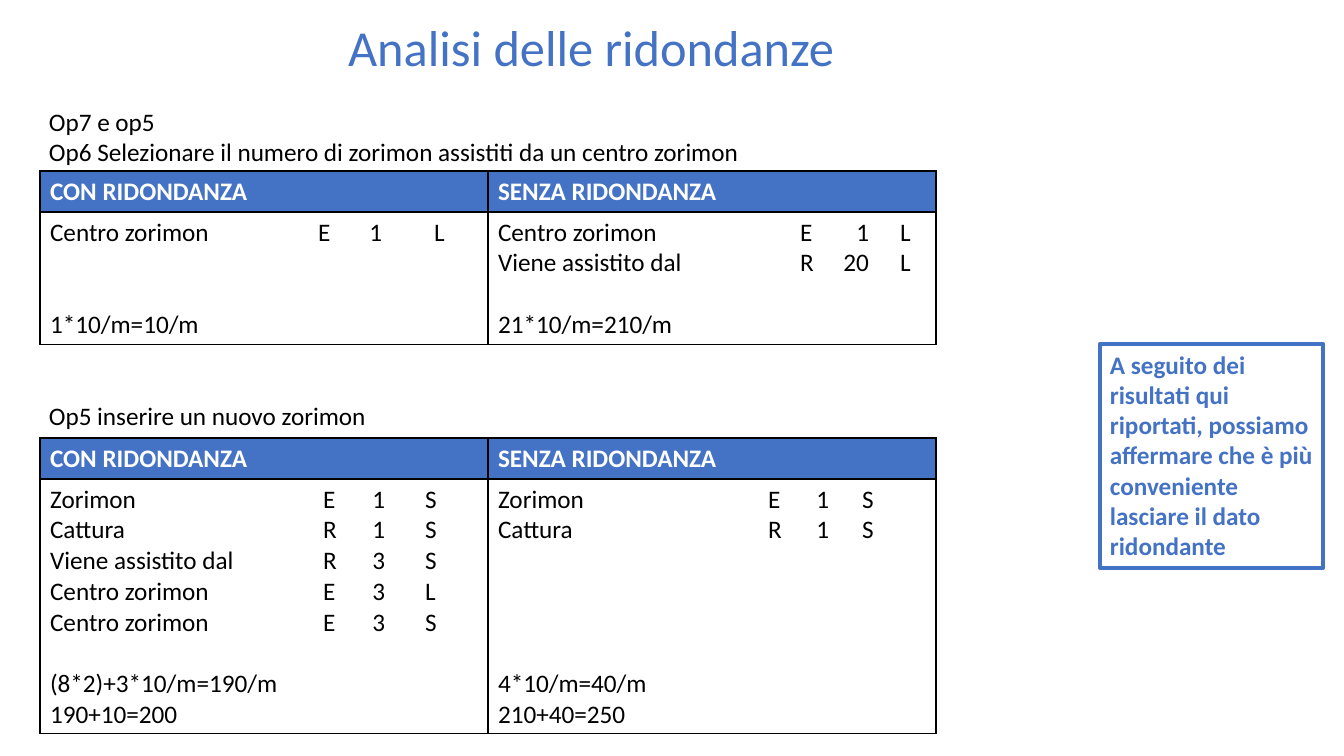
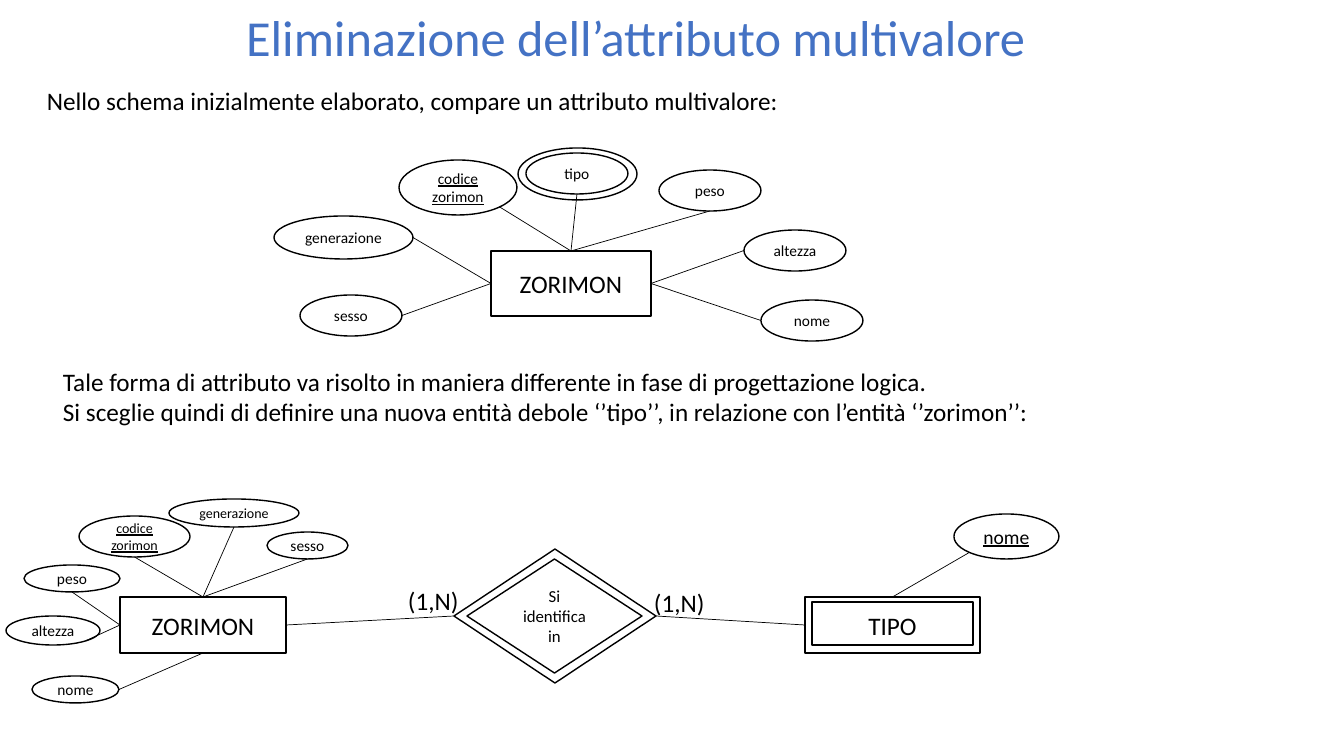
from lxml import etree
from pptx import Presentation
from pptx.dml.color import RGBColor
from pptx.enum import shapes, text
from pptx.oxml import ns
from pptx.util import Pt

PX = 914400 / 100.8
FONT = "Calibri"
COLORS = {"accent": "4472C4", "ink": "000000", "paper": "FFFFFF"}
LINE_PT = 22
RECT = shapes.MSO_SHAPE.RECTANGLE
OVAL = shapes.MSO_SHAPE.OVAL
DIAMOND = shapes.MSO_SHAPE.DIAMOND
SITES = {
    "top": (0.5, 0), "bottom": (0.5, 1), "left": (0, 0.5), "right": (1, 0.5),
    "low left": (0.15, 0.85), "low right": (0.85, 0.85),
}


def px(*values):
    """Turn pixels into EMU."""
    return [round(v * PX) for v in values]


def rgb(name):
    """Look up a named colour."""
    return RGBColor.from_string(COLORS[name])


def style(tf, size, color="ink", bold=False, underline=False, align=text.PP_ALIGN.LEFT):
    """Format every run of a text frame."""
    for p in tf.paragraphs:
        p.alignment = align
        for r in p.runs:
            r.font.name = FONT
            r.font.size = Pt(size)
            r.font.bold = bold
            r.font.underline = underline
            r.font.color.rgb = rgb(color)


def add_slide(prs, title, box):
    """Add a title-only slide with its title in place."""
    s = prs.slides.add_slide(prs.slide_layouts[5])
    sp = s.shapes.title
    sp.left, sp.top, sp.width, sp.height = px(*box)
    tf = sp.text_frame
    tf.text = title
    tf.vertical_anchor = text.MSO_ANCHOR.MIDDLE
    tf.paragraphs[0].line_spacing = 0.9
    style(tf, 36, "accent")
    return s


def add_text(s, box, content):
    """Add a wrapped text box."""
    tf = s.shapes.add_textbox(*px(*box)).text_frame
    tf.word_wrap = True
    tf.text = content
    style(tf, 18)


def add_outline(s, kind, box, color="ink", width=1):
    """Add an unfilled shape."""
    sp = s.shapes.add_shape(kind, *px(*box))
    sp.shadow.inherit = False
    sp.fill.background()
    sp.line.color.rgb = rgb(color)
    sp.line.width = Pt(width)
    return sp


def add_node(s, kind, box, label, size=18, underline=False):
    """Add a white diagram node with a centred label."""
    sp = add_outline(s, kind, box)
    sp.fill.solid()
    sp.fill.fore_color.rgb = rgb("paper")
    tf = sp.text_frame
    tf.text = label
    tf.vertical_anchor = text.MSO_ANCHOR.MIDDLE
    style(tf, size, underline=underline, align=text.PP_ALIGN.CENTER)
    return sp


def site(sp, side):
    """Find the point of a shape where a link attaches."""
    fx, fy = SITES[side]
    return round(sp.left + fx * sp.width), round(sp.top + fy * sp.height)


def link(s, start, start_side, end, end_side):
    """Join two shapes with a thin straight line."""
    line = s.shapes.add_connector(
        shapes.MSO_CONNECTOR.STRAIGHT, *site(start, start_side), *site(end, end_side))
    line.line.color.rgb = rgb("ink")
    line.line.width = Pt(0.5)
    etree.SubElement(line._element.spPr, ns.qn("a:effectLst"))


def add_attributes(s, entity, attributes):
    """Add oval attributes, each linked to its entity."""
    for label, box, size, side, entity_side in attributes:
        underline = label.startswith("codice") or entity.text_frame.text == "TIPO"
        oval = add_node(s, OVAL, box, label, size, underline)
        link(s, oval, side, entity, entity_side)


def add_borders(cell):
    """Draw a thin dark line on all sides of a cell."""
    tc_pr = cell._tc.get_or_add_tcPr()
    for i, side in enumerate(("lnL", "lnR", "lnT", "lnB")):
        ln = etree.Element(ns.qn("a:" + side), w=str(Pt(1)))
        fill = etree.SubElement(ln, ns.qn("a:solidFill"))
        etree.SubElement(fill, ns.qn("a:srgbClr"), val=COLORS["ink"])
        tc_pr.insert(i, ln)


def add_tabs(p, stops):
    """Set the type, count and access tab stops of a paragraph."""
    tabs = etree.SubElement(p._p.get_or_add_pPr(), ns.qn("a:tabLst"))
    for pos, align in zip(px(*stops), ("l", "r", "l")):
        etree.SubElement(tabs, ns.qn("a:tab"), pos=str(pos), algn=align)


def fill_cell(cell, content, color, background, bold=False):
    """Write and colour one table cell."""
    cell.text = content
    cell.fill.solid()
    cell.fill.fore_color.rgb = rgb(background)
    style(cell.text_frame, 18, color, bold)
    add_borders(cell)


def add_comparison(s, top, body_height, costs):
    """Add a table of accesses with and without redundancy."""
    table = s.shapes.add_table(2, 2, *px(40, top, 896, 41 + body_height)).table
    table.rows[0].height, table.rows[1].height = px(41, body_height)
    headers = ("CON RIDONDANZA", "SENZA RIDONDANZA")
    for col, (header, (accesses, gap, totals, stops)) in enumerate(zip(headers, costs)):
        fill_cell(table.cell(0, col), header, "paper", "accent", True)
        cell = table.cell(1, col)
        rows = ["\t".join(access) for access in accesses]
        fill_cell(cell, "\n".join(rows + totals), "ink", "paper")
        paragraphs = cell.text_frame.paragraphs
        paragraphs[len(rows)].space_before = Pt(gap * LINE_PT)
        for p in paragraphs[:len(rows)]:
            add_tabs(p, stops)


def redundancy_slide(prs):
    """Build the redundancy analysis."""
    s = add_slide(prs, "Analisi delle ridondanze", (338, 0, 512, 101))
    add_text(s, (39, 101, 890, 72),
             "Op7 e op5\nOp6 Selezionare il numero di zorimon assistiti da un centro zorimon")
    center, assisted = "Centro zorimon", "Viene assistito dal"
    add_comparison(s, 171, 131, [
        ([(center, "E", "1", "L")], 2, ["1*10/m=10/m"], (268, 332, 384)),
        ([(center, "E", "1", "L"), (assisted, "R", "20", "L")], 1,
         ["21*10/m=210/m"], (302, 371, 402)),
    ])
    add_text(s, (39, 395, 713, 40), "Op5 inserire un nuovo zorimon")
    insertion = [("Zorimon", "E", "1", "S"), ("Cattura", "R", "1", "S")]
    update = [(assisted, "R", "3", "S"), (center, "E", "3", "L"), (center, "E", "3", "S")]
    add_comparison(s, 438, 252, [
        (insertion + update, 1, ["(8*2)+3*10/m=190/m", "190+10=200"], (273, 335, 375)),
        (insertion, 4, ["4*10/m=40/m", "210+40=250"], (270, 331, 364)),
    ])
    tf = add_outline(s, RECT, (1100, 344, 223, 224), "accent", 3).text_frame
    tf.text = ("A seguito dei risultati qui riportati, possiamo affermare che è più "
               "conveniente lasciare il dato ridondante")
    tf.vertical_anchor = text.MSO_ANCHOR.TOP
    style(tf, 18, "accent", True)


def multivalue_slide(prs):
    """Build the two entity diagrams for the multivalued attribute."""
    s = add_slide(prs, "Eliminazione dell’attributo multivalore", (236, 0, 848, 80))
    add_text(s, (37, 80, 859, 40),
             "Nello schema inizialmente elaborato, compare un attributo multivalore:")
    before = add_node(s, RECT, (491, 251, 160, 65), "ZORIMON")
    add_attributes(s, before, [
        ("generazione", (274, 216, 139, 43), 11, "right", "left"),
        ("sesso", (300, 295, 102, 41), 11, "right", "left"),
        ("codice zorimon", (399, 160, 118, 55), 11, "low right", "top"),
        ("tipo", (526, 153, 102, 41), 11, "bottom", "top"),
        ("peso", (659, 170, 102, 41), 11, "bottom", "top"),
        ("altezza", (744, 230, 102, 41), 11, "left", "right"),
        ("nome", (761, 300, 102, 41), 11, "left", "right"),
    ])
    add_outline(s, OVAL, (518, 148, 119, 52))
    add_text(s, (53, 361, 1244, 72),
             "Tale forma di attributo va risolto in maniera differente in fase di "
             "progettazione logica.\nSi sceglie quindi di definire una nuova entità debole "
             "‘’tipo’’, in relazione con l’entità ‘’zorimon’’:")
    after = add_node(s, RECT, (120, 597, 166, 56), "ZORIMON")
    add_node(s, DIAMOND, (467, 559, 175, 114), "Si identifica in", 12)
    weak = add_node(s, RECT, (805, 597, 175, 56), "TIPO")
    relation = add_outline(s, DIAMOND, (454, 549, 202, 134))
    add_outline(s, RECT, (812, 602, 161, 43))
    link(s, after, "right", relation, "left")
    link(s, relation, "right", weak, "left")
    for x, y in ((398, 580), (644, 582)):
        add_text(s, (x, y, 86, 40), "(1,N)")
    add_attributes(s, weak, [("nome", (954, 514, 105, 45), 14, "low left", "top")])
    add_attributes(s, after, [
        ("sesso", (267, 532, 81, 27), 11, "bottom", "top"),
        ("generazione", (169, 499, 130, 28), 10, "bottom", "top"),
        ("codice zorimon", (79, 516, 111, 41), 10, "bottom", "top"),
        ("peso", (24, 565, 96, 27), 11, "bottom", "left"),
        ("altezza", (6, 616, 94, 29), 11, "low right", "left"),
        ("nome", (32, 676, 87, 27), 11, "right", "bottom"),
    ])


def main():
    """Build and save the presentation."""
    prs = Presentation()
    prs.slide_width, prs.slide_height = px(1344, 756)
    redundancy_slide(prs)
    multivalue_slide(prs)
    prs.save("out.pptx")


main()
